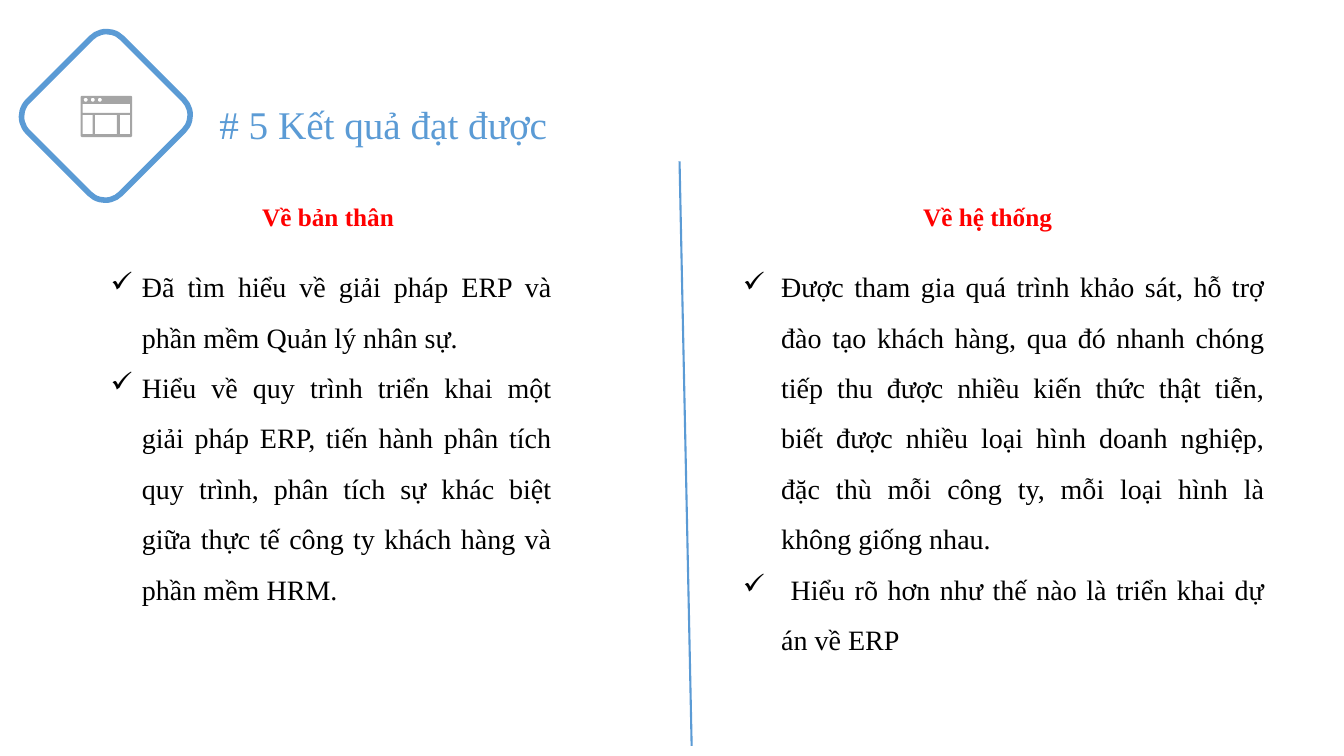
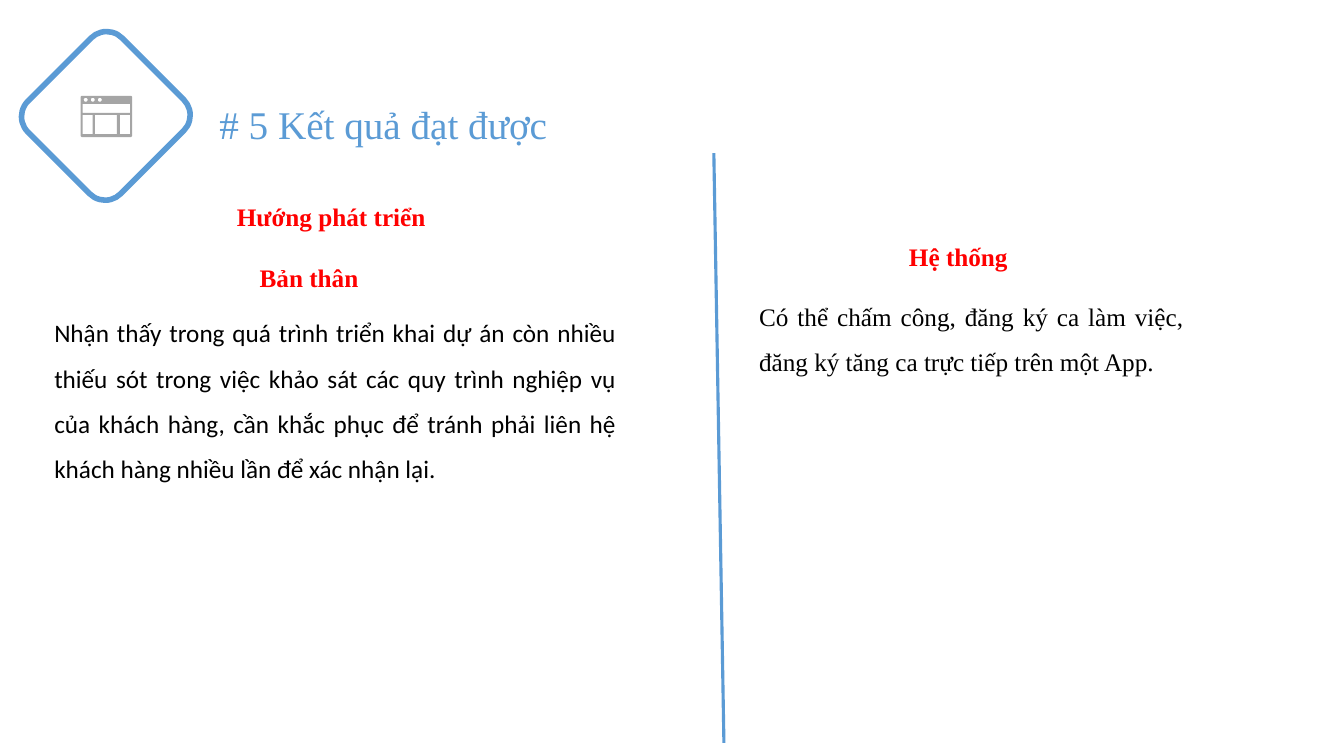
import math
from dataclasses import dataclass

import lxml.etree
import pptx
import pptx.dml.color
import pptx.enum.shapes
import pptx.enum.text
import pptx.oxml.ns
import pptx.util

Inches = pptx.util.Inches
ALIGN = pptx.enum.text.PP_ALIGN


@dataclass(frozen=True)
class Theme:
    blue: str = "5B9BD5"
    red: str = "FF0000"
    gray: str = "A5A5A5"
    black: str = "000000"
    white: str = "FFFFFF"
    serif: str = "Times New Roman"
    sans: str = "Calibri"
    title: int = 28
    list: int = 20
    body: int = 18
    frame: int = 4


THEME = Theme()


def color(code):
    return pptx.dml.color.RGBColor.from_string(code)


def tag(parent, name, **attrs):
    return lxml.etree.SubElement(parent, pptx.oxml.ns.qn(name), attrs)


def put_text(slide, box, lines, size, ink, font=THEME.serif, bold=False,
             align=ALIGN.LEFT, space=None, indent=None):
    frame = slide.shapes.add_textbox(*map(Inches, box)).text_frame
    frame.word_wrap = True
    frame.auto_size = pptx.enum.text.MSO_AUTO_SIZE.SHAPE_TO_FIT_TEXT
    for place, line in enumerate(lines):
        para = frame.paragraphs[0] if place == 0 else frame.add_paragraph()
        para.alignment = align
        para.line_spacing = space
        if indent:
            props = para._p.get_or_add_pPr()
            props.set("marL", str(Inches(indent)))
            props.set("indent", str(-Inches(indent)))
            tag(props, "a:buChar", char="✓")
        run = para.add_run()
        run.text = line
        run.font.name = font
        run.font.size = pptx.util.Pt(size)
        run.font.bold = bold
        run.font.color.rgb = color(ink)


def put_head(slide, left, top, text):
    put_text(slide, (left, top, 2.91, 0.4), [text], THEME.body, THEME.red,
             bold=True, align=ALIGN.CENTER)


def put_body(slide, box, text, font):
    put_text(slide, box, [text], THEME.body, THEME.black, font,
             align=ALIGN.JUSTIFY, space=1.5)


def put_list(slide, box, lines, indent):
    put_text(slide, box, lines, THEME.list, THEME.black,
             align=ALIGN.JUSTIFY, space=1.5, indent=indent)


def put_line(slide, start, end, width):
    line = slide.shapes.add_connector(
        pptx.enum.shapes.MSO_CONNECTOR.STRAIGHT, *map(Inches, start + end))
    line.line.color.rgb = color(THEME.blue)
    line.line.width = pptx.util.Pt(width)
    tag(line._element.spPr, "a:effectLst")


def pane(left, top, right, low):
    return [(left, top), (left, low), (right, low), (right, top)]


def dot(x, y, radius, count=16):
    turns = [2 * math.pi * step / count for step in range(count)]
    return [(x + radius * math.cos(turn), y - radius * math.sin(turn))
            for turn in turns]


def put_icon(slide, left, top, width, height):
    cut = 0.01
    rim = [(cut, 0), (width - cut, 0), (width, cut), (width, height - cut),
           (width - cut, height), (cut, height), (0, height - cut), (0, cut)]
    edge, bar, split, base = 0.02, 0.08, 0.18, height - 0.03
    holes = [pane(edge, bar, width - edge, split - 0.01)]
    holes += [pane(start, split + 0.01, end, base)
              for start, end in ((edge, 0.12), (0.14, 0.36), (0.39, width - edge))]
    holes += [dot(0.05 + 0.07 * step, 0.04, 0.02) for step in range(3)]

    def point(spot):
        return Inches(left + spot[0]), Inches(top + spot[1])

    form = slide.shapes.build_freeform(*point(rim[0]))
    form.add_line_segments([point(spot) for spot in rim[1:]], close=True)
    for hole in holes:
        form.move_to(*point(hole[0]))
        form.add_line_segments([point(spot) for spot in hole[1:]], close=True)
    icon = form.convert_to_shape()
    icon.shadow.inherit = False
    icon.fill.solid()
    icon.fill.fore_color.rgb = color(THEME.gray)
    icon.line.fill.background()


def put_badge(slide, left, top, width, height):
    badge = slide.shapes.add_shape(
        pptx.enum.shapes.MSO_SHAPE.ROUNDED_RECTANGLE,
        *map(Inches, (left, top, width, height)))
    badge.rotation = 45
    badge.shadow.inherit = False
    badge.fill.solid()
    badge.fill.fore_color.rgb = color(THEME.white)
    badge.line.color.rgb = color(THEME.blue)
    badge.line.width = pptx.util.Pt(THEME.frame)
    put_icon(slide, left + 0.4, top + 0.46, 0.51, 0.41)


def new_slide(deck):
    slide = deck.slides.add_slide(deck.slide_layouts[6])
    put_badge(slide, 0.4, 0.49, 1.3, 1.32)
    put_text(slide, (1.98, 0.95, 4.53, 0.57), [" # 5 Kết quả đạt được"],
             THEME.title, THEME.blue)
    return slide


def add_gains(deck):
    slide = new_slide(deck)
    put_line(slide, (6.74, 1.6), (6.86, 7.4), 1.5)
    put_list(slide, (1, 2.46, 4.57, 3.94), [
        "Đã tìm hiểu về giải pháp ERP và phần mềm Quản lý nhân sự.",
        "Hiểu về quy trình triển khai một giải pháp ERP, tiến hành phân tích "
        "quy trình, phân tích sự khác biệt giữa thực tế công ty khách hàng "
        "và phần mềm HRM.",
    ], 0.31)
    put_list(slide, (7.27, 2.46, 5.37, 4.08), [
        "Được tham gia quá trình khảo sát, hỗ trợ đào tạo khách hàng, qua đó "
        "nhanh chóng tiếp thu được nhiều kiến thức thật tiễn, biết được nhiều "
        "loại hình doanh nghiệp, đặc thù mỗi công ty, mỗi loại hình là không "
        "giống nhau.",
        " Hiểu rõ hơn như thế nào là triển khai dự án về ERP",
    ], 0.38)
    put_head(slide, 1.83, 1.95, "Về bản thân ")
    put_head(slide, 8.34, 1.95, "Về hệ thống")


def add_plans(deck):
    slide = new_slide(deck)
    put_line(slide, (7.08, 1.52), (7.18, 7.37), 2.25)
    put_head(slide, 1.83, 1.95, "Hướng phát triển")
    put_head(slide, 1.61, 2.55, "Bản thân")
    put_body(slide, (0.44, 2.95, 5.77, 2.22),
             "Nhận thấy trong quá trình triển khai dự án còn nhiều thiếu sót "
             "trong việc khảo sát các quy trình nghiệp vụ của khách hàng, cần "
             "khắc phục để tránh phải liên hệ khách hàng nhiều lần để xác "
             "nhận lại.", THEME.sans)
    put_head(slide, 8.05, 2.34, "Hệ thống")
    put_body(slide, (7.43, 2.79, 4.41, 1.31),
             "Có thể chấm công, đăng ký ca làm việc, đăng ký tăng ca trực "
             "tiếp trên một App. ", THEME.serif)


def main():
    deck = pptx.Presentation()
    deck.slide_width = Inches(13.33)
    deck.slide_height = Inches(7.5)
    add_gains(deck)
    add_plans(deck)
    deck.save("out.pptx")


if __name__ == "__main__":
    main()
